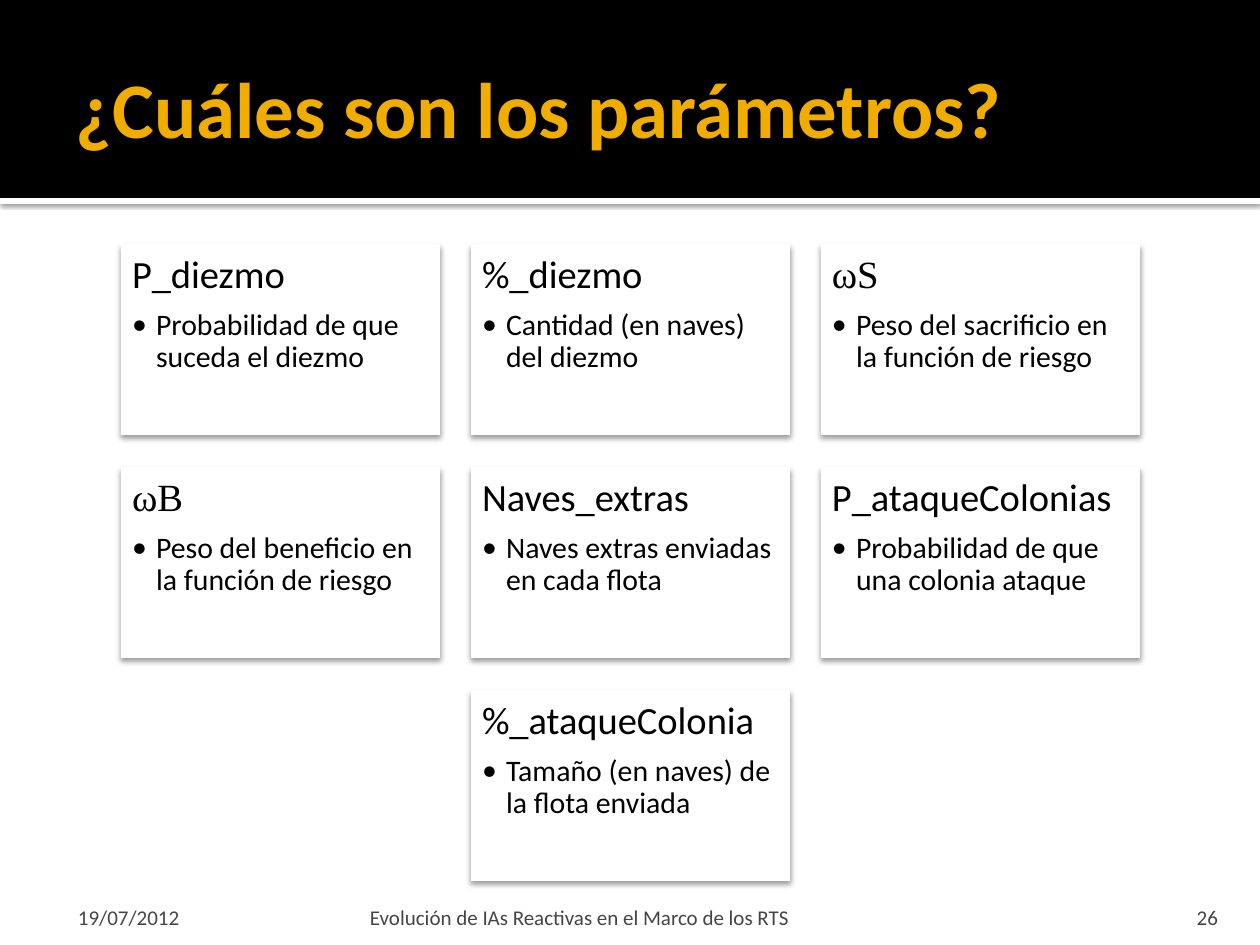
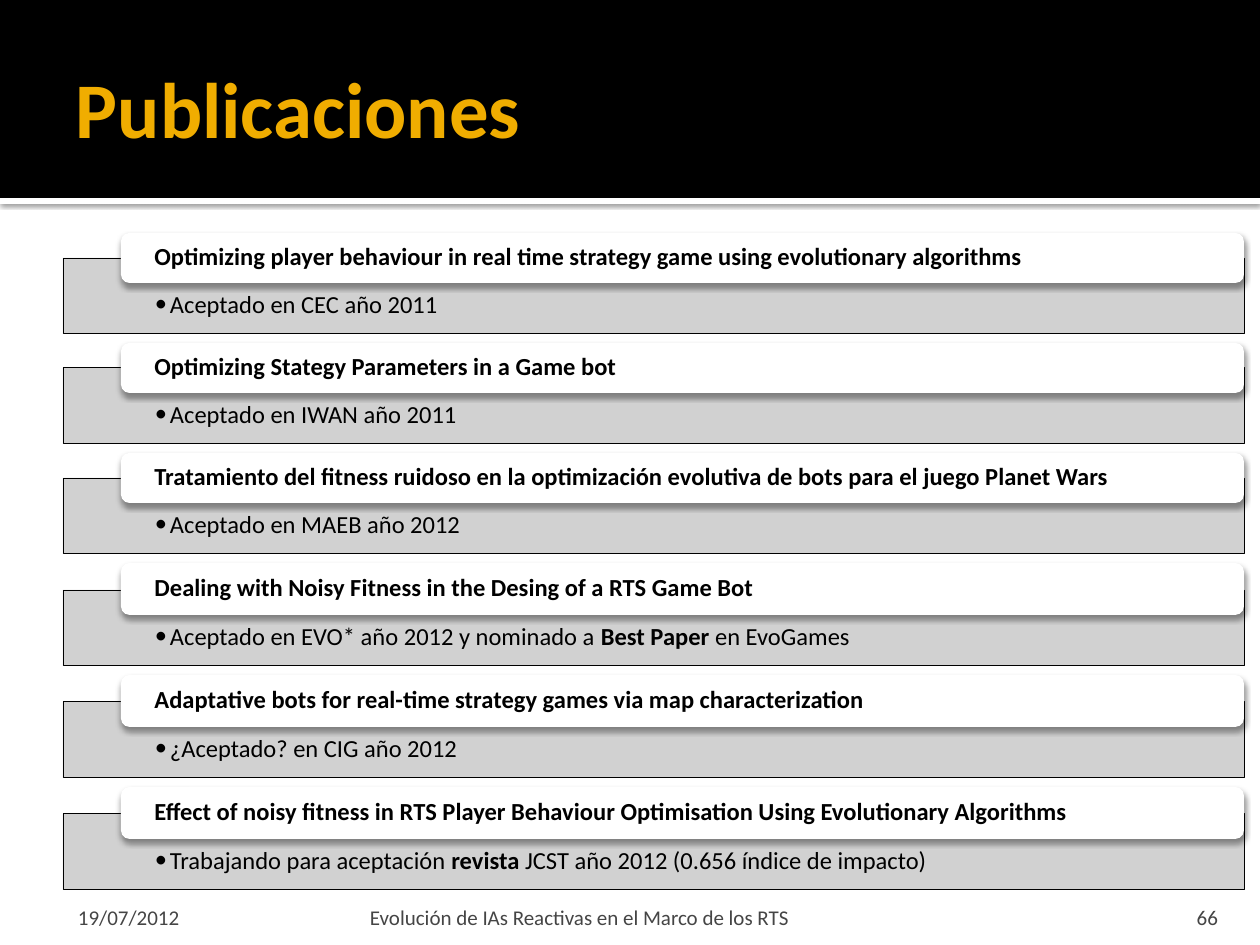
from dataclasses import dataclass
from typing import Optional

from lxml import etree
from pptx import Presentation
from pptx.dml.color import RGBColor
from pptx.enum.shapes import MSO_SHAPE
from pptx.enum.text import MSO_ANCHOR, PP_ALIGN
from pptx.oxml.ns import qn
from pptx.util import Emu, Pt

RECT, ROUNDED = MSO_SHAPE.RECTANGLE, MSO_SHAPE.ROUNDED_RECTANGLE
TOP, MIDDLE, BOTTOM = MSO_ANCHOR.TOP, MSO_ANCHOR.MIDDLE, MSO_ANCHOR.BOTTOM
LEFT, RIGHT = PP_ALIGN.LEFT, PP_ALIGN.RIGHT

# Shared look
PX_PER_INCH = 126
SLIDE_W, SLIDE_H = 1260, 945
BAND_H, STRIP_H = 198, 6
BLACK, WHITE, GOLD = "000000", "FFFFFF", "F0AD00"
PANEL_GREY, FOOTER_GREY = "CCCCCC", "454545"
BODY_FONT, GREEK_FONT = "Calibri", "Times New Roman"
DATE = "19/07/2012"
TALK = "Evolución de IAs Reactivas en el Marco de los RTS"


@dataclass(frozen=True)
class Box:
    left: int
    top: int
    width: int
    height: int


@dataclass(frozen=True)
class Shadow:
    alpha: int
    blur: float
    distance: float


@dataclass(frozen=True)
class TextStyle:
    size: int
    color: str = BLACK
    font: str = BODY_FONT
    bold: Optional[bool] = None
    align: PP_ALIGN = LEFT
    line_spacing: Optional[float] = None
    space_after: float = 0
    bullet_indent: int = 0


@dataclass(frozen=True)
class Parameter:
    name: str
    meaning: str
    font: str = BODY_FONT


@dataclass(frozen=True)
class Publication:
    title: str
    status: tuple[str, ...]  # every second part is bold
    header_height: int


STRIP_SHADOW = Shadow(60, 2.5, 0.8)
CARD_SHADOW = Shadow(38, 3.5, 2)
TITLE_STYLE = TextStyle(45, GOLD, bold=True)
FOOTER_STYLE = TextStyle(12, FOOTER_GREY)
PAGE_STYLE = TextStyle(12, FOOTER_GREY, align=RIGHT)
MEANING_STYLE = TextStyle(17, line_spacing=0.9, bullet_indent=24)
HEADER_STYLE = TextStyle(14, bold=True, line_spacing=0.9)
STATUS_STYLE = TextStyle(14, line_spacing=0.9, bullet_indent=15)

PARAMETER_ROWS = (
    (Parameter("P_diezmo", "Probabilidad de que suceda el diezmo"),
     Parameter("%_diezmo", "Cantidad (en naves) del diezmo"),
     Parameter("ωS", "Peso del sacrificio en la función de riesgo", GREEK_FONT)),
    (Parameter("ωB", "Peso del beneficio en la función de riesgo", GREEK_FONT),
     Parameter("Naves_extras", "Naves extras enviadas en cada flota"),
     Parameter("P_ataqueColonias", "Probabilidad de que una colonia ataque")),
    (Parameter("%_ataqueColonia", "Tamaño (en naves) de la flota enviada"),),
)

PUBLICATIONS = (
    Publication("Optimizing player behaviour in real time strategy game using evolutionary algorithms",
                ("Aceptado en CEC año 2011",), 50),
    Publication("Optimizing Stategy Parameters in a Game bot",
                ("Aceptado en IWAN año 2011",), 50),
    Publication("Tratamiento del fitness ruidoso en la optimización evolutiva de bots para el juego Planet Wars",
                ("Aceptado en MAEB año 2012",), 50),
    Publication("Dealing with Noisy Fitness in the Desing of a RTS Game Bot",
                ("Aceptado en EVO* año 2012 y nominado a ", "Best Paper", " en EvoGames"), 52),
    Publication("Adaptative bots for real-time strategy games via map characterization",
                ("¿Aceptado? en CIG año 2012",), 52),
    Publication("Effect of noisy fitness in RTS Player Behaviour Optimisation Using Evolutionary Algorithms",
                ("Trabajando para aceptación ", "revista", " JCST año 2012 (0.656 índice de impacto)"), 52),
)


# Drawing helpers
def px(length: float) -> Emu:
    return Emu(round(length * 914400 / PX_PER_INCH))


def rgb(color: str) -> RGBColor:
    return RGBColor.from_string(color)


def place(box: Box) -> tuple[Emu, Emu, Emu, Emu]:
    return px(box.left), px(box.top), px(box.width), px(box.height)


def add_shadow(shape, shadow: Shadow) -> None:
    effects = shape._element.spPr.find(qn("a:effectLst"))
    outer = etree.SubElement(
        effects, qn("a:outerShdw"), blurRad=str(Pt(shadow.blur)),
        dist=str(Pt(shadow.distance)), dir="5400000", algn="ctr", rotWithShape="0")
    color = etree.SubElement(outer, qn("a:srgbClr"), val=BLACK)
    etree.SubElement(color, qn("a:alpha"), val=str(shadow.alpha * 1000))


def add_block(slide, box: Box, fill: str, kind=RECT, shadow: Optional[Shadow] = None,
              alpha: int = 100, line: Optional[str] = None):
    block = slide.shapes.add_shape(kind, *place(box))
    block.shadow.inherit = False
    block.fill.solid()
    block.fill.fore_color.rgb = rgb(fill)
    if alpha < 100:
        color = block._element.spPr.find(qn("a:solidFill"))[0]
        etree.SubElement(color, qn("a:alpha"), val=str(alpha * 1000))
    if line:
        block.line.color.rgb = rgb(line)
        block.line.width = Pt(0.5)
    else:
        block.line.fill.background()
    if shadow:
        add_shadow(block, shadow)
    return block


def set_frame(shape, insets: tuple[int, int, int, int], anchor=TOP):
    frame = shape.text_frame
    frame.word_wrap = True
    frame.vertical_anchor = anchor
    (frame.margin_left, frame.margin_top,
     frame.margin_right, frame.margin_bottom) = map(px, insets)
    return frame


def write(paragraph, parts: tuple[str, ...], style: TextStyle) -> None:
    if style.bullet_indent:
        properties = paragraph._p.get_or_add_pPr()
        properties.set("marL", str(px(style.bullet_indent)))
        properties.set("indent", str(-px(style.bullet_indent)))
        etree.SubElement(properties, qn("a:buFont"), typeface=BODY_FONT)
        etree.SubElement(properties, qn("a:buChar"), char="•")
    paragraph.alignment = style.align
    paragraph.space_after = Pt(style.space_after)
    if style.line_spacing:
        paragraph.line_spacing = style.line_spacing
    font = paragraph.font
    font.name, font.size, font.bold = style.font, Pt(style.size), style.bold
    font.color.rgb = rgb(style.color)
    for index, part in enumerate(parts):
        run = paragraph.add_run()
        run.text = part
        if index % 2:
            run.font.bold = True


def add_label(slide, box: Box, text: str, style: TextStyle,
              insets: tuple[int, int, int, int], anchor) -> None:
    label = slide.shapes.add_textbox(*place(box))
    write(set_frame(label, insets, anchor).paragraphs[0], (text,), style)


def start_slide(deck, title: str):
    slide = deck.slides.add_slide(deck.slide_layouts[6])
    slide.background.fill.solid()
    slide.background.fill.fore_color.rgb = rgb(WHITE)
    add_block(slide, Box(0, BAND_H, SLIDE_W, STRIP_H), WHITE, shadow=STRIP_SHADOW)
    add_block(slide, Box(0, 0, SLIDE_W, BAND_H), BLACK)
    add_label(slide, Box(63, 21, 1134, 173), title, TITLE_STYLE, (13, 6, 6, 6), MIDDLE)
    return slide


def add_footer(slide, page: int) -> None:
    top, height = 892, 38
    add_label(slide, Box(63, top, 294, height), DATE, FOOTER_STYLE, (15, 6, 6, 0), BOTTOM)
    add_label(slide, Box(364, top, 759, height), TALK, FOOTER_STYLE, (6, 6, 6, 0), BOTTOM)
    add_label(slide, Box(1130, top, 101, height), str(page), PAGE_STYLE, (13, 6, 13, 0), BOTTOM)


# Slide: parameter cards in centred rows
def add_parameters(deck) -> None:
    slide = start_slide(deck, "¿Cuáles son los parámetros?")
    first_top, width, height, column_gap, row_gap = 244, 319, 191, 31, 32
    for row, parameters in enumerate(PARAMETER_ROWS):
        count = len(parameters)
        row_left = (SLIDE_W - count * width - (count - 1) * column_gap) // 2 + 1
        for column, parameter in enumerate(parameters):
            box = Box(row_left + column * (width + column_gap),
                      first_top + row * (height + row_gap), width, height)
            card = add_block(slide, box, WHITE, shadow=CARD_SHADOW)
            frame = set_frame(card, (11, 11, 11, 11))
            name_style = TextStyle(22, font=parameter.font, line_spacing=0.9, space_after=7.7)
            write(frame.paragraphs[0], (parameter.name,), name_style)
            write(frame.add_paragraph(), (parameter.meaning,), MEANING_STYLE)
    add_footer(slide, 26)


# Slide: publications, each a header overlapping its status panel
def add_publications(deck) -> None:
    slide = start_slide(deck, "Publicaciones")
    top, overlap, panel_height, gap = 233, 25, 76, 9
    for publication in PUBLICATIONS:
        panel_top = top + publication.header_height - overlap
        panel = add_block(slide, Box(63, panel_top, 1182, panel_height), PANEL_GREY,
                          alpha=90, line=BLACK)
        write(set_frame(panel, (92, 34, 92, 14)).paragraphs[0],
              publication.status, STATUS_STYLE)
        header = add_block(slide, Box(121, top, 1123, publication.header_height), WHITE,
                           ROUNDED, CARD_SHADOW)
        write(set_frame(header, (31, 0, 31, 0), MIDDLE).paragraphs[0],
              (publication.title,), HEADER_STYLE)
        top = panel_top + panel_height + gap
    add_footer(slide, 66)


def main() -> None:
    deck = Presentation()
    deck.slide_width, deck.slide_height = px(SLIDE_W), px(SLIDE_H)
    add_parameters(deck)
    add_publications(deck)
    deck.save("out.pptx")


if __name__ == "__main__":
    main()
